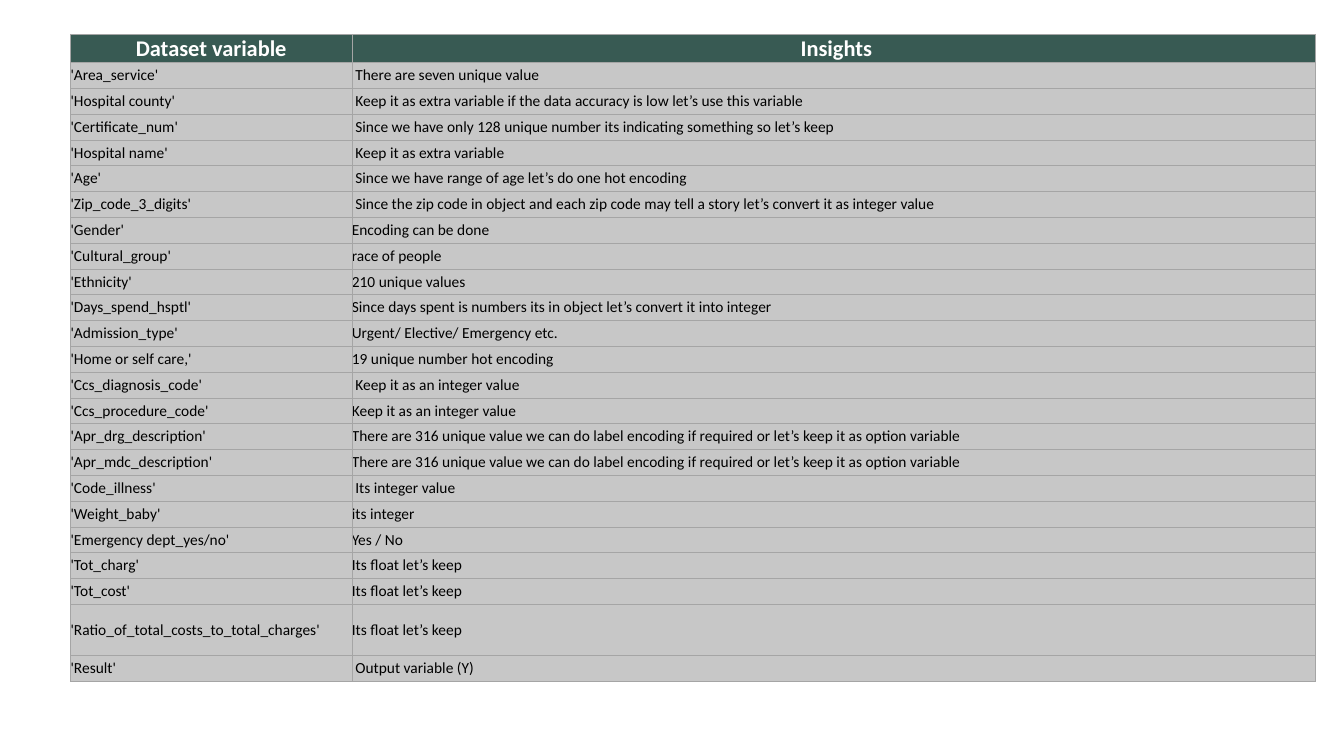
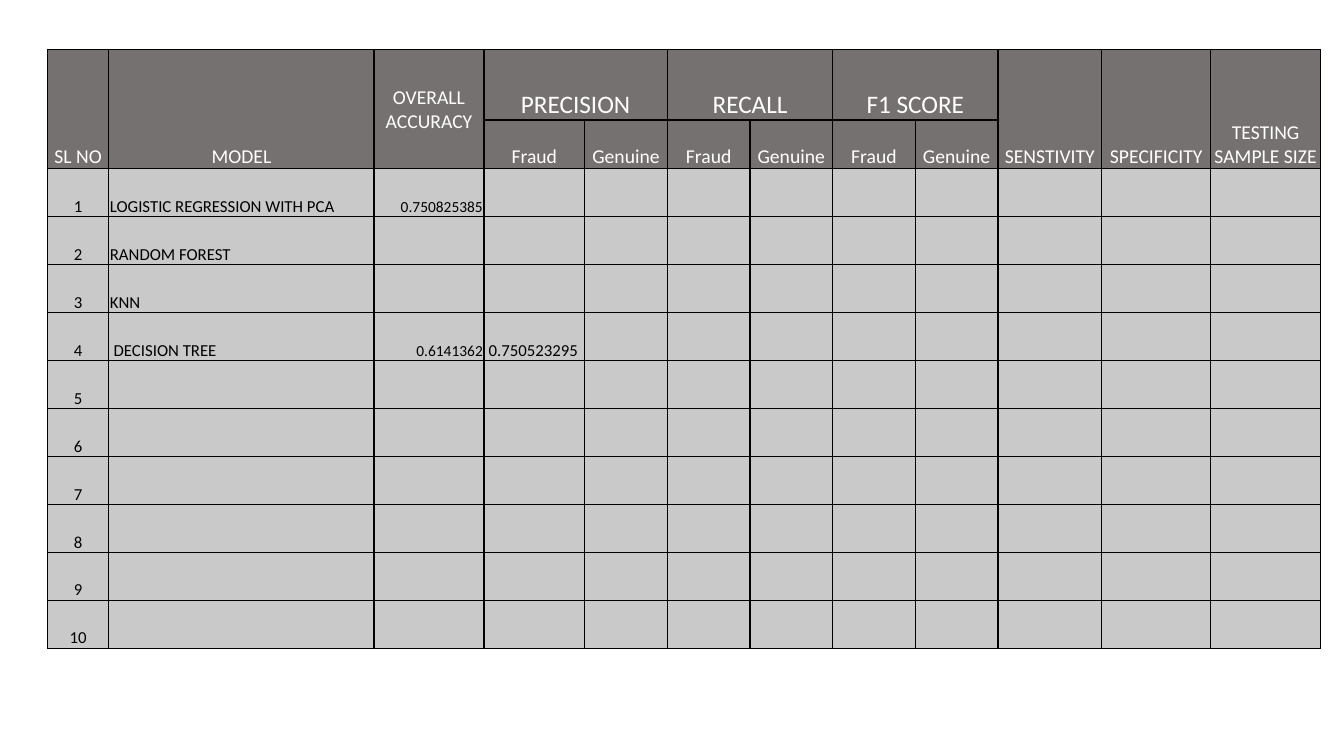
from lxml import etree
from pptx import Presentation
from pptx.dml.color import RGBColor
from pptx.enum.text import MSO_ANCHOR, PP_ALIGN
from pptx.oxml.ns import qn
from pptx.util import Inches, Pt

LEFT, CENTER, RIGHT = PP_ALIGN.LEFT, PP_ALIGN.CENTER, PP_ALIGN.RIGHT
MIDDLE, BOTTOM = MSO_ANCHOR.MIDDLE, MSO_ANCHOR.BOTTOM
FONT = "Calibri"
WHITE = RGBColor(0xFF, 0xFF, 0xFF)
BLACK = RGBColor(0x00, 0x00, 0x00)
GREEN = RGBColor(0x38, 0x5A, 0x53)
GRAY = RGBColor(0x76, 0x71, 0x71)
SILVER = RGBColor(0xC7, 0xC7, 0xC7)
PALE = RGBColor(0xC9, 0xC9, 0xC9)
EDGE = RGBColor(0xA5, 0xA5, 0xA5)

deck = Presentation()
deck.slide_width, deck.slide_height = Inches(13.33), Inches(7.5)


def add_grid(left, top, cols, rows, edge, weight, pad):
    """Add a slide with one table whose cells all have the same borders and insets."""
    slide = deck.slides.add_slide(deck.slide_layouts[6])
    frame = slide.shapes.add_table(
        len(rows), len(cols), Inches(left), Inches(top),
        Inches(sum(cols)), Inches(sum(rows)))
    table = frame.table
    for col, width in zip(table.columns, cols):
        col.width = Inches(width)
    for row, height in zip(table.rows, rows):
        row.height = Inches(height)
    for cell in table.iter_cells():
        cell.margin_left = cell.margin_right = cell.margin_top = Inches(pad)
        cell.margin_bottom = 0
        props = cell._tc.get_or_add_tcPr()
        for side in ("a:lnL", "a:lnR", "a:lnT", "a:lnB"):
            line = etree.SubElement(props, qn(side), w=str(Pt(weight)))
            fill = etree.SubElement(line, qn("a:solidFill"))
            etree.SubElement(fill, qn("a:srgbClr"), val=str(edge))
    return table


def put(cell, text, fill, anchor, align, **font):
    cell.fill.solid()
    cell.fill.fore_color.rgb = fill
    cell.vertical_anchor = anchor
    if not text:
        return
    para = cell.text_frame.paragraphs[0]
    para.alignment = align
    run = para.add_run()
    run.text = text
    run.font.color.rgb = font.pop("color")
    for name, value in {"name": FONT, "bold": False, **font}.items():
        setattr(run.font, name, value)


# Slide 1: dataset variables
NOTES = [
    ("'Area_service'", " There are seven unique value"),
    ("'Hospital county'",
     " Keep it as extra variable if the data accuracy is low let’s use this variable"),
    ("'Certificate_num'",
     " Since we have only 128 unique number its indicating something so let’s keep"),
    ("'Hospital name'", " Keep it as extra variable"),
    ("'Age'", " Since we have range of age let’s do one hot encoding"),
    ("'Zip_code_3_digits'",
     " Since the zip code in object and each zip code may tell a story"
     " let’s convert it as integer value"),
    ("'Gender'", "Encoding can be done"),
    ("'Cultural_group'", "race of people"),
    ("'Ethnicity'", "210 unique values"),
    ("'Days_spend_hsptl'",
     "Since days spent is numbers its in object let’s convert it into integer"),
    ("'Admission_type'", "Urgent/ Elective/ Emergency etc."),
    ("'Home or self care,'", "19 unique number hot encoding"),
    ("'Ccs_diagnosis_code'", " Keep it as an integer value"),
    ("'Ccs_procedure_code'", "Keep it as an integer value"),
    ("'Apr_drg_description'",
     "There are 316 unique value we can do label encoding if required"
     " or let’s keep it as option variable"),
    ("'Apr_mdc_description'",
     "There are 316 unique value we can do label encoding if required"
     " or let’s keep it as option variable"),
    ("'Code_illness'", " Its integer value"),
    ("'Weight_baby'", "its integer"),
    ("'Emergency dept_yes/no'", "Yes / No"),
    ("'Tot_charg'", "Its float let’s keep"),
    ("'Tot_cost'", "Its float let’s keep"),
    ("'Ratio_of_total_costs_to_total_charges'", "Its float let’s keep"),
    ("'Result'", " Output variable (Y)"),
]
tall = [0.51 if name.startswith("'Ratio") else 0.256 for name, _ in NOTES]
table = add_grid(0.7, 0.34, [2.79, 9.56], [0.28] + tall, EDGE, 0.5, 0)
for c, head in enumerate(("Dataset variable", " Insights")):
    put(table.cell(0, c), head, GREEN, MIDDLE, CENTER,
        size=Pt(16), bold=True, color=WHITE)
for r, pair in enumerate(NOTES, 1):
    for c, text in enumerate(pair):
        put(table.cell(r, c), text, SILVER, MIDDLE, LEFT,
            size=Pt(11), color=BLACK)

# Slide 2: model scores
COLS = [0.61, 2.63, 1.09, 1] + [0.82] * 5 + [1.03, 1.08, 1.09]
HEADS = {0: "SL NO", 1: "MODEL", 2: "OVERALL ACCURACY", 9: "SENSTIVITY",
         10: "SPECIFICITY", 11: "TESTING SAMPLE SIZE"}
PAIRS = {3: "PRECISION", 5: "RECALL", 7: "F1 SCORE"}
MODELS = {1: ("LOGISTIC REGRESSION WITH PCA", "0.750825385"),
          2: ("RANDOM FOREST",),
          3: ("KNN",),
          4: (" DECISION TREE", "0.6141362", " 0.750523295")}
STYLES = [(CENTER, 12), (LEFT, 12), (RIGHT, 11)] + [(LEFT, 12)] * 9

table = add_grid(0.47, 0.49, COLS, [0.7, 0.48] + [0.476] * 10, BLACK, 1, 0.01)
for c, head in HEADS.items():
    table.cell(0, c).merge(table.cell(1, c))
    put(table.cell(0, c), head, GRAY, MIDDLE if c == 2 else BOTTOM, CENTER,
        size=Pt(14), color=WHITE)
for c, head in PAIRS.items():
    table.cell(0, c).merge(table.cell(0, c + 1))
    put(table.cell(0, c), head, GRAY, BOTTOM, CENTER, size=Pt(18), color=WHITE)
    for k, kind in enumerate(("Fraud", "Genuine")):
        put(table.cell(1, c + k), kind, GRAY, BOTTOM, CENTER,
            size=Pt(14), color=WHITE)
for n in range(1, 11):
    texts = (str(n), *MODELS.get(n, ()))
    for c, (align, size) in enumerate(STYLES):
        text = texts[c] if c < len(texts) else ""
        put(table.cell(n + 1, c), text, PALE, BOTTOM, align,
            size=Pt(size), color=BLACK)

deck.save("out.pptx")
